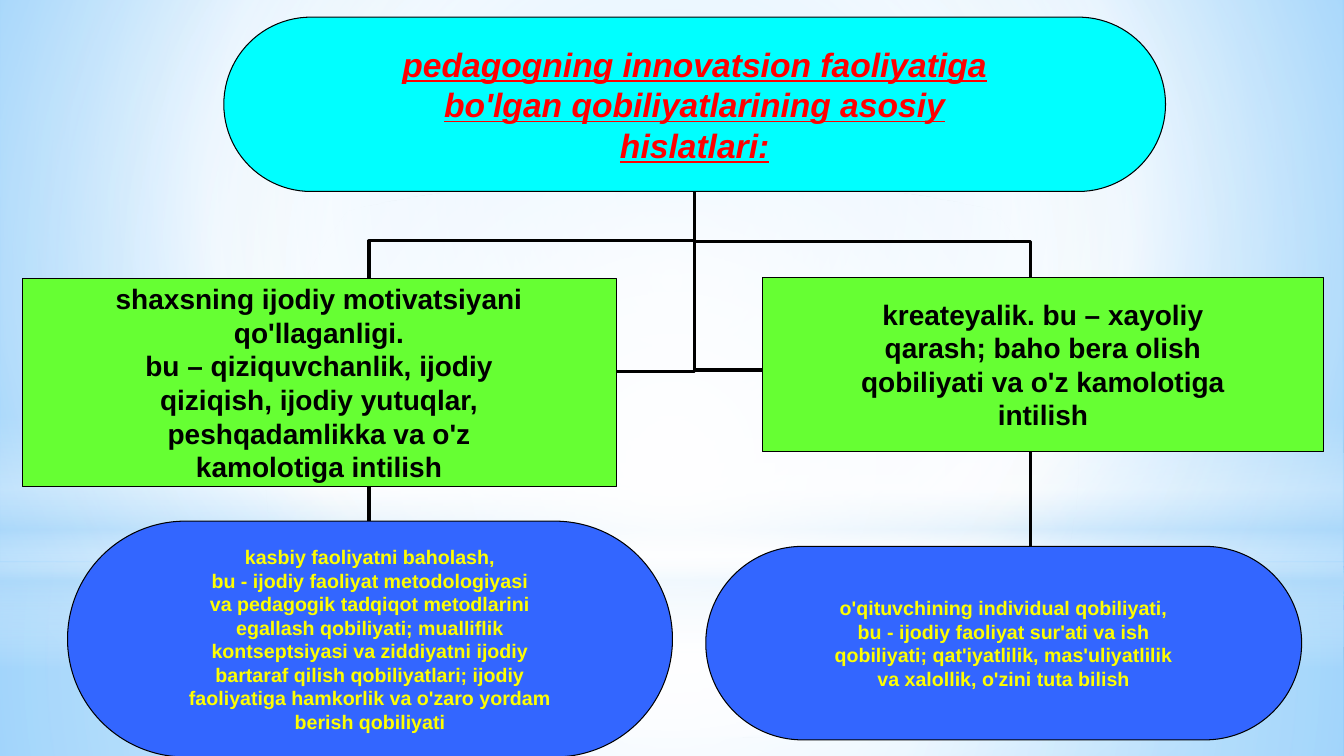
"""Build the slide on the main traits of a teacher's innovative abilities."""
from dataclasses import dataclass

import lxml.etree
import pptx
import pptx.dml.color
import pptx.enum.shapes
import pptx.enum.text
import pptx.oxml
import pptx.oxml.ns
import pptx.util

Inches = pptx.util.Inches
Preset = pptx.enum.shapes.MSO_SHAPE


@dataclass(frozen=True)
class Theme:
    """Colours, type sizes and line widths of the slide."""

    font: str = "Arial"
    black: str = "000000"
    red: str = "FF0000"
    yellow: str = "FFFF00"
    cyan: str = "00FFFF"
    green: str = "66FF33"
    blue: str = "3366FF"
    white: str = "FFFFFF"
    haze: str = "B4DCFA"
    sky: str = "9ED5FF"
    deep_sky: str = "5BB9FF"
    heading_size: float = 24
    trait_size: float = 20
    detail_size: float = 14
    outline: float = 0.75
    branch: float = 2.25


THEME = Theme()


@dataclass(frozen=True)
class Gradient:
    """Stops of position, colour and opacity, with a centre rectangle or an angle."""

    stops: tuple
    centre: tuple = (50, 50, 50, 50)
    angle: int | None = None


@dataclass(frozen=True)
class Glow:
    """A translucent backdrop shape."""

    preset: Preset
    place: tuple
    gradient: Gradient


@dataclass(frozen=True)
class Box:
    """A filled box with centred lines of text."""

    place: tuple
    rounding: float
    fill: str
    color: str = THEME.black
    size: float = THEME.trait_size
    lines: tuple = ()


@dataclass(frozen=True)
class Branch:
    """A bent line that starts at a box and ends under the heading."""

    start: tuple
    bend: float


HEADING_LINES = (
    "pеdаgоgning innоvаtsiоn fаоliyatigа",
    "bo'lgаn qоbiliyatlаrining аsоsiy",
    "hislаtlаri:",
)
HEADING = Box((2.22, 0.17, 9.34, 1.73), 0.5, THEME.cyan)
HEADING_FOOT = (6.89, 1.9)
BOXES = (
    Box((0.67, 5.17, 6, 2.34), 0.5, THEME.blue, THEME.yellow, THEME.detail_size, (
        "kаsbiy fаоliyatni bаhоlаsh,",
        "bu - ijоdiy fаоliyat mеtоdоlоgiyasi",
        "vа pеdаgоgik tаdqiqоt mеtоdlаrini",
        "egаllаsh qоbiliyati; muаlliflik",
        "kоntsеptsiyasi vа ziddiyatni ijоdiy",
        "bаrtаrаf qilish qоbiliyatlаri; ijоdiy",
        "fаоliyatigа hаmkоrlik vа o'zаrо yordаm",
        "bеrish qоbiliyati",
    )),
    Box((0.22, 2.76, 5.89, 2.07), 0, THEME.green, lines=(
        "shахsning ijоdiy mоtivаtsiyani",
        "qo'llаgаnligi.",
        "bu – qiziquvchаnlik, ijоdiy",
        "qiziqish, ijоdiy yutuqlаr,",
        "pеshqаdаmlikkа vа o'z",
        "kаmоlоtigа intilish",
    )),
    Box((7, 5.42, 5.91, 1.92), 0.5, THEME.blue, THEME.yellow, THEME.detail_size, (
        "o'qituvchining individuаl qоbiliyati,",
        "bu - ijоdiy fаоliyat sur'аti vа ish",
        "qоbiliyati; qаt'iyatlilik, mаs'uliyatlilik",
        "vа хаlоllik, o'zini tutа bilish",
    )),
    Box((7.56, 2.75, 5.57, 1.73), 0, THEME.green, lines=(
        "krеаtеyalik. bu – хаyoliy",
        "qаrаsh; bаhо bеrа оlish",
        "qоbiliyati vа o'z kаmоlоtigа",
        "intilish",
    )),
)
BRANCHES = (
    Branch((7.65, 3.62), -0.03),
    Branch((6.11, 3.67), -0.01),
    Branch((3.66, 5.17), 0.85),
    Branch((10.22, 5.42), 0.86),
)
W, H = THEME.white, THEME.haze
BACKDROP = Gradient(
    ((0, THEME.sky, 100), (60, W, 100), (100, THEME.deep_sky, 100)), (20, 10, 20, 60))
GLOWS = (
    Glow(Preset.RECTANGLE, (0, 5.58, 13.33, 1.92),
         Gradient(((0, W, 91), (37, W, 76), (100, H, 79)))),
    Glow(Preset.RECTANGLE, (0, 0, 13.33, 5.58),
         Gradient(((0, W, 89), (48, W, 62), (100, H, 79)))),
    Glow(Preset.RECTANGLE, (0, 4.12, 13.33, 2.5),
         Gradient(((0, W, 0), (29, W, 30), (45, H, 40), (55, W, 26), (65, H, 60),
                   (100, W, 0)), angle=90)),
    Glow(Preset.OVAL, (0, 1.75, 13.33, 5.58), Gradient(((0, W, 100), (56, W, 0)))),
)


def rgb(color: str) -> pptx.dml.color.RGBColor:
    """Turn a hex string into a colour."""
    return pptx.dml.color.RGBColor.from_string(color)


def paint_gradient(parent, gradient: Gradient) -> None:
    """Replace the solid fill under the parent with a gradient."""
    stops = "".join(
        f'<a:gs pos="{position * 1000}"><a:srgbClr val="{color}">'
        f'<a:alpha val="{opacity * 1000}"/></a:srgbClr></a:gs>'
        for position, color, opacity in gradient.stops)
    if gradient.angle is None:
        sides = " ".join(f'{side}="{value * 1000}"'
                         for side, value in zip("ltrb", gradient.centre))
        course = f'<a:path path="circle"><a:fillToRect {sides}/></a:path>'
    else:
        course = f'<a:lin ang="{gradient.angle * 60000}" scaled="0"/>'
    solid = parent.find(pptx.oxml.ns.qn("a:solidFill"))
    parent.replace(solid, pptx.oxml.parse_xml(
        f'<a:gradFill {pptx.oxml.ns.nsdecls("a")} rotWithShape="1">'
        f"<a:gsLst>{stops}</a:gsLst>{course}</a:gradFill>"))


def add_glow(page, glow: Glow) -> None:
    """Draw one backdrop shape."""
    shape = page.shapes.add_shape(glow.preset, *map(Inches, glow.place))
    shape.shadow.inherit = False
    shape.line.fill.background()
    shape.fill.solid()
    paint_gradient(shape._element.spPr, glow.gradient)


def add_branch(page, branch: Branch) -> None:
    """Draw a quarter-turned bent line from a box up to the heading."""
    (x, y), (foot_x, foot_y) = branch.start, HEADING_FOOT
    rise, run = y - foot_y, abs(x - foot_x)
    left, top = (x + foot_x - rise) / 2, (y + foot_y - run) / 2
    begin_x, end_x = (left, left + rise) if x > foot_x else (left + rise, left)
    line = page.shapes.add_connector(
        pptx.enum.shapes.MSO_CONNECTOR.ELBOW,
        *map(Inches, (begin_x, top + run, end_x, top)))
    line.line.color.rgb = rgb(THEME.black)
    line.line.width = pptx.util.Pt(THEME.branch)
    properties = line._element.spPr
    properties.xfrm.set("rot", str((270 if x > foot_x else 90) * 60000))
    guides = properties.find(".//" + pptx.oxml.ns.qn("a:avLst"))
    lxml.etree.SubElement(guides, pptx.oxml.ns.qn("a:gd"), name="adj1",
                          fmla=f"val {round(branch.bend * 100000)}")
    lxml.etree.SubElement(properties, pptx.oxml.ns.qn("a:effectLst"))


def write_lines(shape, lines: tuple, color: str, formats: dict) -> None:
    """Fill a shape with centred lines, one paragraph each."""
    frame = shape.text_frame
    settings = {"margin_left": 0, "margin_top": 0, "margin_right": 0, "margin_bottom": 0,
                "word_wrap": False, "auto_size": pptx.enum.text.MSO_AUTO_SIZE.NONE,
                "vertical_anchor": pptx.enum.text.MSO_ANCHOR.MIDDLE}
    for name, value in settings.items():
        setattr(frame, name, value)
    frame.text = "\n".join(lines)
    for para in frame.paragraphs:
        para.alignment = pptx.enum.text.PP_ALIGN.CENTER
        font = para.runs[0].font
        font.color.rgb = rgb(color)
        for name, value in ({"name": THEME.font, "bold": True} | formats).items():
            setattr(font, name, value)


def add_box(page, box: Box) -> None:
    """Draw one box and its text."""
    shape = page.shapes.add_shape(Preset.ROUNDED_RECTANGLE, *map(Inches, box.place))
    shape.adjustments[0] = box.rounding
    shape.shadow.inherit = False
    shape.fill.solid()
    shape.fill.fore_color.rgb = rgb(box.fill)
    shape.line.color.rgb = rgb(THEME.black)
    shape.line.width = pptx.util.Pt(THEME.outline)
    if box.lines:
        write_lines(shape, box.lines, box.color, {"size": pptx.util.Pt(box.size)})


def place_heading(page) -> None:
    """Lay the title over its rounded box."""
    add_box(page, HEADING)
    title = page.shapes.title
    page.shapes._spTree.append(title._element)
    for name, value in zip(("left", "top", "width", "height"), HEADING.place):
        setattr(title, name, Inches(value))
    write_lines(title, HEADING_LINES, THEME.red, {
        "size": pptx.util.Pt(THEME.heading_size), "italic": True, "underline": True})


def main() -> None:
    """Build and save the deck."""
    deck = pptx.Presentation()
    deck.slide_width, deck.slide_height = Inches(13.33), Inches(7.5)
    page = deck.slides.add_slide(deck.slide_layouts[5])
    fill = page.background.fill
    fill.solid()
    paint_gradient(page.background._cSld.bg.bgPr, BACKDROP)
    for glow in GLOWS:
        add_glow(page, glow)
    for branch in BRANCHES:
        add_branch(page, branch)
    for box in BOXES:
        add_box(page, box)
    place_heading(page)
    deck.save("out.pptx")


if __name__ == "__main__":
    main()
